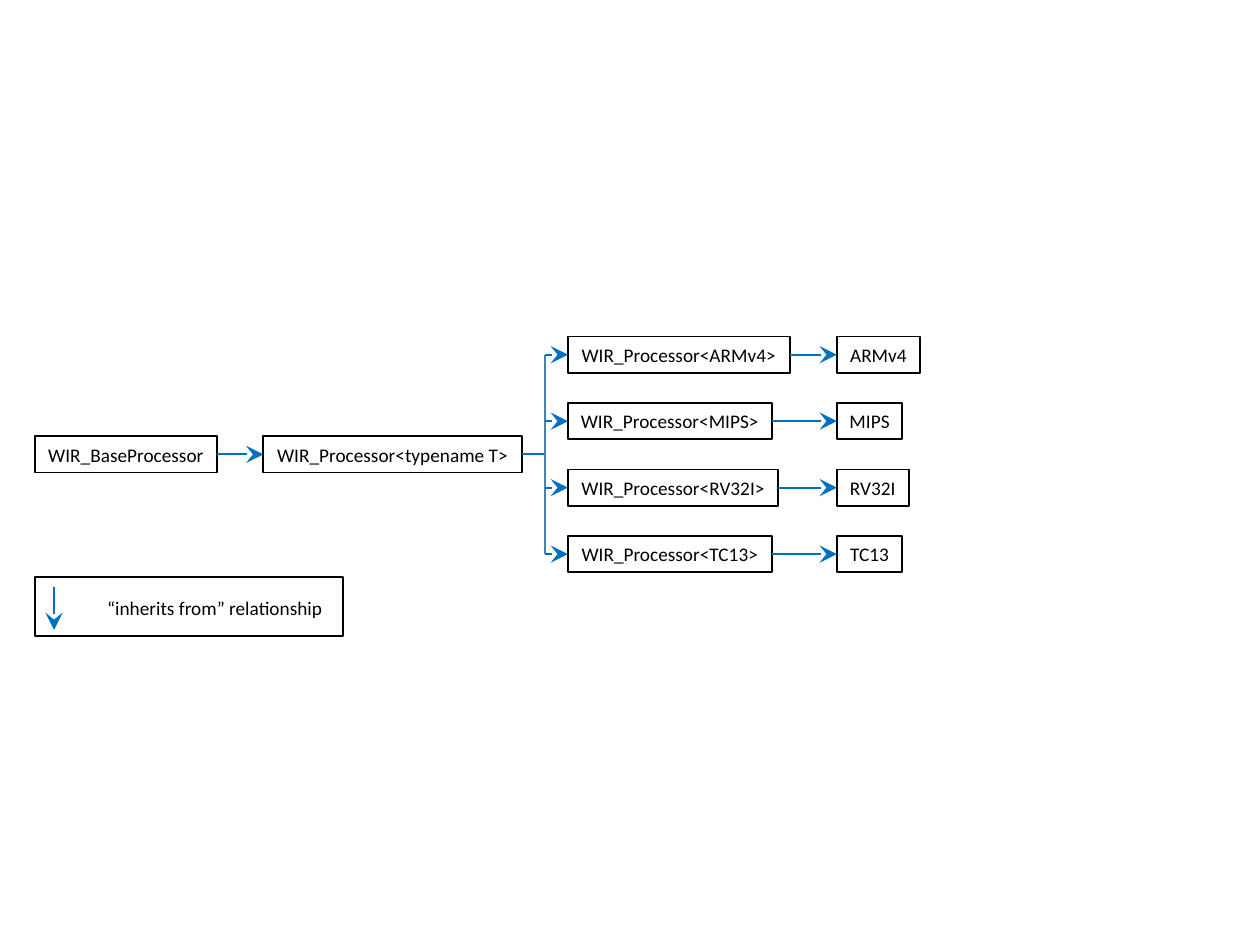
"""Build a slide with the class inheritance diagram of the WIR processors."""
from lxml.etree import SubElement
from pptx import Presentation
from pptx.dml.color import RGBColor
from pptx.enum.shapes import MSO_CONNECTOR, MSO_SHAPE
from pptx.enum.text import MSO_ANCHOR, MSO_AUTO_SIZE, PP_ALIGN
from pptx.oxml.ns import qn
from pptx.util import Cm, Pt

BLACK, ARROW_BLUE, TRUNK_BLUE = "000000", "0070C0", "4B7EBC"
BASE = ("WIR_BaseProcessor", 0.71, 3.66)
TEMPLATE = ("WIR_Processor<typename T>", 5.31, 5.21)
PROCESSORS = [
    ("ARMv4", 4.47, 1.68),
    ("MIPS", 4.11, 1.32),
    ("RV32I", 4.24, 1.45),
    ("TC13", 4.11, 1.32),
]
LEGEND = "“inherits from” relationship"

BOX_HEIGHT = 0.73
FIRST_ROW, ROW_STEP = 7.15, 1.34
TRUNK_LEFT, INSTANCE_LEFT, CLASS_LEFT = 10.99, 11.45, 16.87
LEGEND_TOP = 11.63


def color(value):
    return RGBColor.from_string(value)


def write(shape, text, alignment):
    frame = shape.text_frame
    frame.word_wrap = False
    frame.auto_size = MSO_AUTO_SIZE.SHAPE_TO_FIT_TEXT
    frame.vertical_anchor = MSO_ANCHOR.MIDDLE
    para = frame.paragraphs[0]
    para.text = text
    para.alignment = alignment
    para.font.name = "Calibri"
    para.font.size = Pt(11)
    para.font.color.rgb = color(BLACK)


def add_frame(page, left, top, width, height):
    box = page.shapes.add_shape(
        MSO_SHAPE.RECTANGLE, Cm(left), Cm(top), Cm(width), Cm(height))
    box.shadow.inherit = False
    box.fill.background()
    box.line.color.rgb = color(BLACK)
    box.line.width = Pt(1)
    return box


def add_class(page, name, left, middle, width):
    box = add_frame(page, left, middle - BOX_HEIGHT / 2, width, BOX_HEIGHT)
    write(box, name, PP_ALIGN.CENTER)
    return left + width


def add_line(page, start, end, line_color=ARROW_BLUE, arrow=True):
    line = page.shapes.add_connector(
        MSO_CONNECTOR.STRAIGHT, *map(Cm, start + end))
    line.line.color.rgb = color(line_color)
    line.line.width = Pt(1.25)
    properties = line.element.spPr
    if arrow:
        SubElement(properties.find(qn("a:ln")), qn("a:tailEnd"),
                   type="stealth", w="lg", len="lg")
    SubElement(properties, qn("a:effectLst"))


def add_hierarchy(page):
    rows = [FIRST_ROW + ROW_STEP * index for index in range(len(PROCESSORS))]
    middle = (rows[0] + rows[-1]) / 2

    base_name, base_left, base_width = BASE
    template_name, template_left, template_width = TEMPLATE
    base_right = add_class(page, base_name, base_left, middle, base_width)
    template_right = add_class(
        page, template_name, template_left, middle, template_width)
    add_line(page, (base_right, middle), (template_left, middle))
    add_line(page, (template_right, middle), (TRUNK_LEFT, middle), arrow=False)
    add_line(page, (TRUNK_LEFT, rows[0]), (TRUNK_LEFT, rows[-1]),
             TRUNK_BLUE, arrow=False)

    for row, (name, instance_width, class_width) in zip(rows, PROCESSORS):
        instance_right = add_class(
            page, f"WIR_Processor<{name}>", INSTANCE_LEFT, row, instance_width)
        add_class(page, name, CLASS_LEFT, row, class_width)
        add_line(page, (TRUNK_LEFT, row), (INSTANCE_LEFT, row))
        add_line(page, (instance_right, row), (CLASS_LEFT, row))


def add_legend(page):
    add_frame(page, BASE[1], LEGEND_TOP, 6.2, 1.19)
    add_line(page, (1.09, LEGEND_TOP + 0.21), (1.09, LEGEND_TOP + 1.07))
    label = page.shapes.add_textbox(
        Cm(1.91), Cm(LEGEND_TOP + 0.26), Cm(4.88), Cm(BOX_HEIGHT))
    write(label, LEGEND, PP_ALIGN.LEFT)


def main():
    deck = Presentation()
    deck.slide_width, deck.slide_height = Cm(25.4), Cm(19.05)
    page = deck.slides.add_slide(deck.slide_layouts[6])
    add_hierarchy(page)
    add_legend(page)
    deck.save("out.pptx")


if __name__ == "__main__":
    main()
